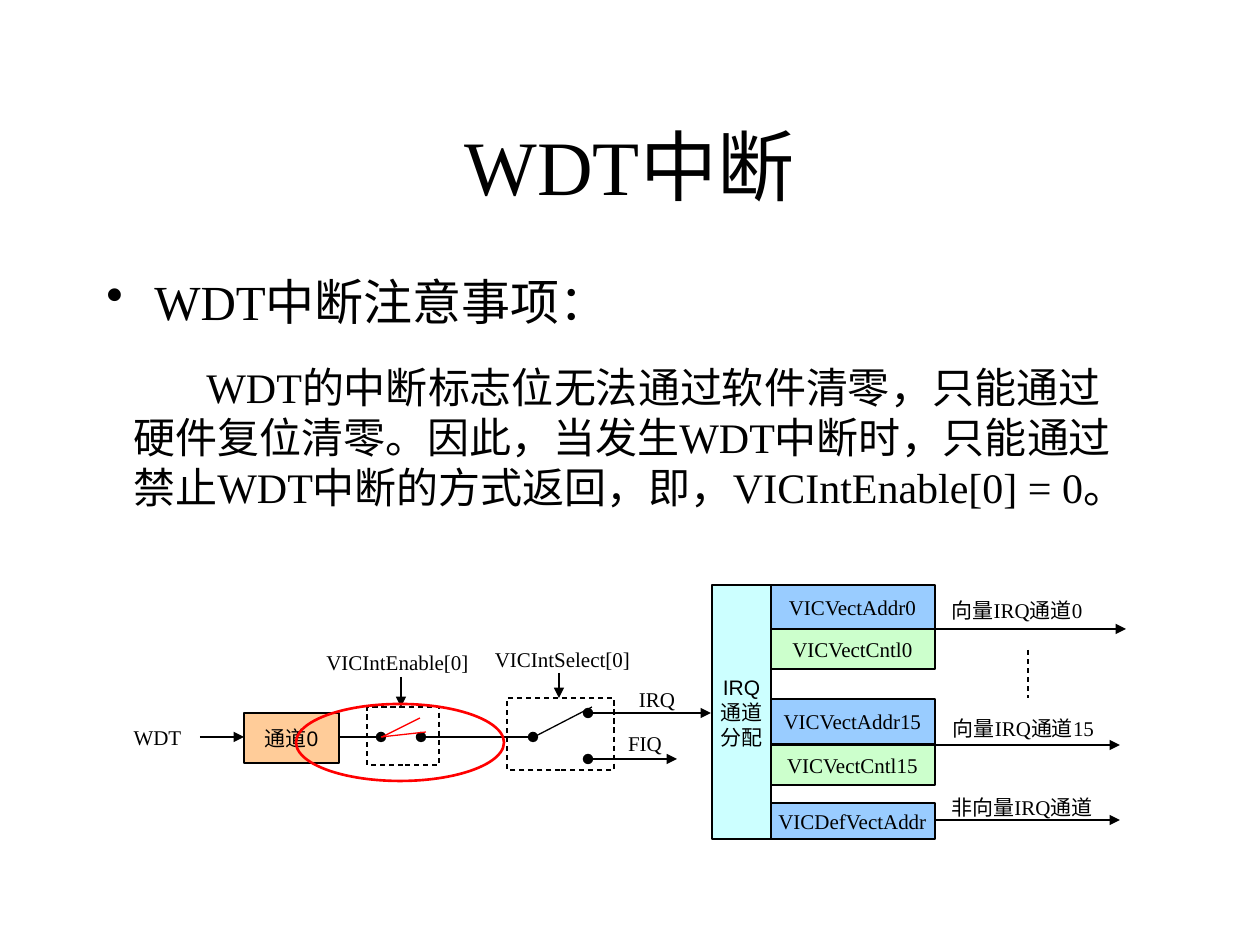
from typing import NamedTuple

from lxml.etree import SubElement
from pptx import Presentation
from pptx.dml.color import RGBColor
from pptx.enum.dml import MSO_LINE
from pptx.enum.shapes import MSO_CONNECTOR, MSO_SHAPE
from pptx.enum.text import MSO_ANCHOR, PP_ALIGN
from pptx.oxml.ns import qn
from pptx.util import Emu, Pt

PX_PER_INCH = 126
SERIF, SANS = "Times New Roman", "Arial"
BLACK, RED, WHITE = "000000", "FF0000", "FFFFFF"
ORANGE, CYAN, BLUE, GREEN = "FFCC99", "CCFFFF", "99CCFF", "CCFFCC"


class Label(NamedTuple):
    text: str
    x: int
    y: int
    w: int
    h: int = 38
    wrap: bool = True


class Block(NamedTuple):
    x: int
    y: int
    w: int
    h: int
    fill: str | None
    text: str = ""
    font: str = SERIF
    dashed: bool = False
    shape: MSO_SHAPE = MSO_SHAPE.RECTANGLE
    color: str = BLACK
    weight: float = 0.75


class Wire(NamedTuple):
    x1: int
    y1: int
    x2: int
    y2: int
    start: str = ""
    end: str = ""
    color: str = BLACK
    dashed: bool = False


def px(n: int) -> Emu:
    return Emu(round(n * 914400 / PX_PER_INCH))


def rgb(color: str) -> RGBColor:
    return RGBColor.from_string(color)


def write(tf, text: str, size: int, font: str = SERIF, align=PP_ALIGN.CENTER) -> None:
    tf.text = text
    for p in tf.paragraphs:
        p.alignment = align
        for r in p.runs:
            r.font.size = Pt(size)
            r.font.name = font
            r.font.color.rgb = rgb(BLACK)


def style_line(line, color: str, weight: float, dashed: bool) -> None:
    line.color.rgb = rgb(color)
    line.width = Pt(weight)
    if dashed:
        line.dash_style = MSO_LINE.DASH


def add_label(s, label: Label, size: int = 12, align=PP_ALIGN.CENTER):
    sp = s.shapes.add_textbox(*map(px, (label.x, label.y, label.w, label.h)))
    tf = sp.text_frame
    tf.word_wrap = label.wrap
    write(tf, label.text, size, align=align)
    return tf


def add_block(s, block: Block) -> None:
    sp = s.shapes.add_shape(block.shape, *map(px, (block.x, block.y, block.w, block.h)))
    sp.shadow.inherit = False
    if block.fill:
        sp.fill.solid()
        sp.fill.fore_color.rgb = rgb(block.fill)
    else:
        sp.fill.background()
    style_line(sp.line, block.color, block.weight, block.dashed)
    if block.text:
        tf = sp.text_frame
        tf.word_wrap = False
        tf.vertical_anchor = MSO_ANCHOR.MIDDLE
        write(tf, block.text, 12, block.font)


def add_wire(s, wire: Wire) -> None:
    cx = s.shapes.add_connector(
        MSO_CONNECTOR.STRAIGHT, *map(px, (wire.x1, wire.y1, wire.x2, wire.y2))
    )
    style_line(cx.line, wire.color, 0.75, wire.dashed)
    ln = cx.line._get_or_add_ln()
    for tag, kind in (("a:headEnd", wire.start), ("a:tailEnd", wire.end)):
        if kind:
            SubElement(ln, qn(tag), type=kind)
    SubElement(cx._element.spPr, qn("a:effectLst"))


def set_indent(p, left: int, first: int, bullet: str = "") -> None:
    pPr = p._p.get_or_add_pPr()
    pPr.set("marL", str(px(left)))
    pPr.set("indent", str(px(first)))
    if bullet:
        SubElement(pPr, qn("a:buChar"), char=bullet)


LABELS = [
    Label("向量IRQ通道0", 934, 591, 166, 63),
    Label("向量IRQ通道15", 934, 709, 179, 63),
    Label("非向量IRQ通道", 934, 788, 176),
    Label("WDT", 121, 718, 73, wrap=False),
    Label("VICIntSelect[0]", 475, 640, 175),
    Label("VICIntEnable[0]", 311, 643, 173),
    Label("IRQ", 624, 680, 66),
    Label("FIQ", 612, 724, 66),
]
REGISTERS = [
    ("VICVectAddr0", 585, 45, BLUE),
    ("VICVectCntl0", 629, 40, GREEN),
    ("VICVectAddr15", 699, 45, BLUE),
    ("VICVectCntl15", 745, 40, GREEN),
    ("VICDefVectAddr", 803, 36, BLUE),
]
BLOCKS = [
    Block(507, 698, 107, 72, WHITE, dashed=True),
    Block(367, 707, 72, 58, WHITE, dashed=True),
    Block(244, 713, 95, 50, ORANGE, "通道0", SANS),
    *(Block(770, y, 165, h, fill, name) for name, y, h, fill in REGISTERS),
    Block(712, 585, 59, 254, CYAN, "IRQ\n通道\n分配", SANS),
]
WIRES = [
    Wire(932, 629, 1126, 629, end="triangle"),
    Wire(934, 745, 1120, 745, end="triangle"),
    Wire(936, 820, 1120, 820, end="triangle"),
    Wire(1028, 650, 1028, 698, dashed=True),
    Wire(200, 737, 244, 737, end="triangle"),
    Wire(340, 737, 381, 737, end="oval"),
    Wire(421, 737, 533, 737, "oval", "oval"),
    Wire(534, 737, 592, 707),
    Wire(588, 713, 711, 713, "oval", "triangle"),
    Wire(588, 759, 677, 759, "oval", "triangle"),
    Wire(401, 677, 401, 707, end="triangle"),
    Wire(559, 673, 559, 698, end="triangle"),
]
HIGHLIGHT = Block(296, 704, 208, 77, None, shape=MSO_SHAPE.OVAL, color=RED, weight=1.5)
OPEN_SWITCH = [
    Wire(381, 737, 426, 732, color=RED),
    Wire(382, 737, 420, 718, color=RED),
]
TITLE = Label("WDT中断", 94, 86, 1071, 158)
HEADING = Label("WDT中断注意事项：", 94, 265, 863, 79)
BODY = Label(
    "WDT的中断标志位无法通过软件清零，只能通过硬件复位清零。因此，当发生WDT中断时，"
    "只能通过禁止WDT中断的方式返回，即，VICIntEnable[0] = 0。",
    121, 355, 1018, 214,
)


def main() -> None:
    prs = Presentation()
    prs.slide_width, prs.slide_height = px(1260), px(945)
    s = prs.slides.add_slide(prs.slide_layouts[6])

    for label in LABELS:
        add_label(s, label)
    for block in BLOCKS:
        add_block(s, block)
    for wire in WIRES:
        add_wire(s, wire)
    add_block(s, HIGHLIGHT)

    add_label(s, TITLE, 44).vertical_anchor = MSO_ANCHOR.MIDDLE
    heading = add_label(s, HEADING, 28, PP_ALIGN.LEFT)
    set_indent(heading.paragraphs[0], 48, -48, "•")
    body = add_label(s, BODY, 24, PP_ALIGN.LEFT)
    set_indent(body.paragraphs[0], 0, 73)

    for wire in OPEN_SWITCH:
        add_wire(s, wire)
    prs.save("out.pptx")


if __name__ == "__main__":
    main()
